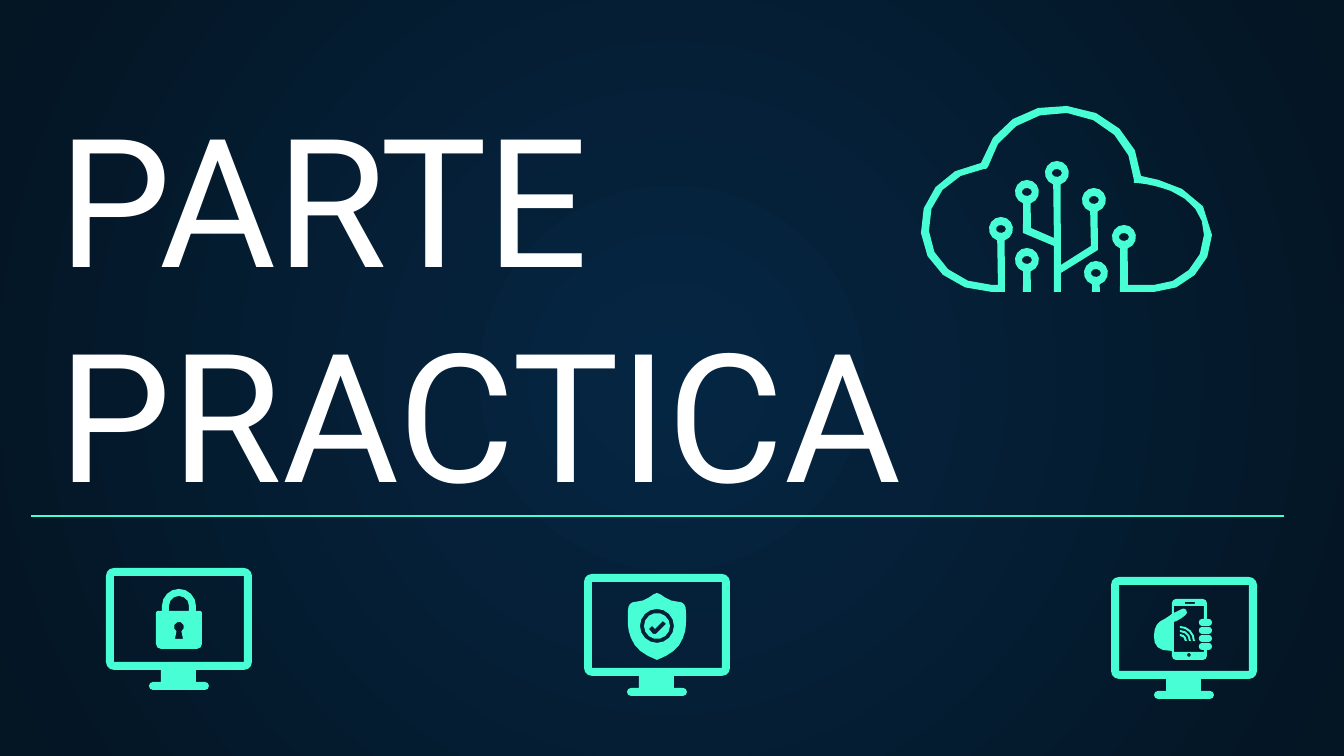
from math import cos, radians, sin, sqrt

from pptx import Presentation
from pptx.dml.color import RGBColor as Rgb
from pptx.enum.shapes import MSO_CONNECTOR as Conn
from pptx.enum.text import MSO_ANCHOR as Anchor
from pptx.oxml import parse_xml
from pptx.oxml.ns import nsdecls, qn
from pptx.util import Inches, Pt

WIDE, HIGH = 1344, 756
UNIT = Inches(10) / WIDE
MINT = Rgb(0x48, 0xFF, 0xD5)
WHITE = Rgb(0xFF, 0xFF, 0xFF)
NAVY = Rgb(0x05, 0x26, 0x43)
DARK = Rgb(0x04, 0x15, 0x23)
FONT = "Roboto"


def px(num):
    """Turn px into EMU."""
    return round(num * UNIT)


def arc(x, y, r, start=0, end=360, ry=None):
    """Return points along an arc, with angles clockwise from the right."""
    count = max(2, round(abs(end - start) * sqrt(r) / 90))
    turns = [radians(start + (end - start) * i / count) for i in range(count + 1)]
    return [(x + r * cos(t), y + (ry or r) * sin(t)) for t in turns]


def box(x, y, w, h, r):
    """Return the points of a rounded box."""
    left, top, right, low = x + r, y + r, x + w - r, y + h - r
    return (arc(left, top, r, 180, 270) + arc(right, top, r, 270, 360)
            + arc(right, low, r, 0, 90) + arc(left, low, r, 90, 180))


def curve(*pts):
    """Return points along a chain of cubic curves."""
    out = [pts[0]]
    for i in range(0, len(pts) - 1, 3):
        for step in range(1, 5):
            t = step / 4
            mix = ((1 - t) ** 3, 3 * t * (1 - t) ** 2, 3 * t * t * (1 - t), t ** 3)
            out.append(tuple(sum(m * p[k] for m, p in zip(mix, pts[i:i + 4]))
                             for k in (0, 1)))
    return out


def knob(x, y):
    """Return a node's rim, open below for its stem."""
    return arc(x, y, 12, 72, -252)


def eye(x, y):
    """Return the hole of a node."""
    return arc(x, y, 5, ry=4)


def draw(slide, *loops):
    """Fill closed loops as one shape, with inner loops as holes."""
    build = None
    for loop in loops:
        pts = [(px(x), px(y)) for x, y in loop]
        if build is None:
            build = slide.shapes.build_freeform(*pts[0], scale=1.0)
        else:
            build.move_to(*pts[0])
        build.add_line_segments(pts[1:], close=True)
    shape = build.convert_to_shape()
    shape.shadow.inherit = False
    shape.fill.solid()
    shape.fill.fore_color.rgb = MINT
    shape.line.fill.background()


def paint(slide):
    """Give the slide its radial background."""
    fill = slide.background.fill
    fill.gradient()
    for stop, tint in zip(fill.gradient_stops, (NAVY, DARK)):
        stop.color.rgb = tint
    lin = next(slide.element.iter(qn("a:lin")))
    lin.getparent().replace(lin, parse_xml(
        f'<a:path {nsdecls("a")} path="circle"><a:fillToRect l="50000" '
        't="50000" r="50000" b="50000"/></a:path>'))


def title(slide, text):
    """Add the large title."""
    frame = slide.shapes.add_textbox(px(46), px(102), px(1253), px(429)).text_frame
    frame.word_wrap = True
    frame.vertical_anchor = Anchor.BOTTOM
    frame.margin_left = frame.margin_right = px(13)
    frame.margin_top = frame.margin_bottom = px(13)
    run = frame.paragraphs[0].add_run()
    run.text = text
    run.font.size = Pt(96)
    run.font.name = FONT
    run.font.color.rgb = WHITE


def rule(slide, x, y, end):
    """Add the thin line below the title."""
    line = slide.shapes.add_connector(Conn.STRAIGHT, px(x), px(y), px(end), px(y))
    line.line.color.rgb = MINT
    line.line.width = Pt(0.75)
    line.element.spPr.append(parse_xml(f'<a:effectLst {nsdecls("a")}/>'))


def cloud(slide):
    """Draw the cloud and the circuit in it."""
    top, left, right = (1057, 173), (1027, 192), (1094, 200)
    draw(slide,
         knob(*right) + [(1091, 246), (1061, 265)]
         + knob(*top) + [(1054, 238), (1031, 228)]
         + knob(*left) + [(1023, 233), (1054, 246), (1054, 292), (1061, 292),
                          (1061, 273), (1098, 250)],
         eye(*top), eye(*left), eye(*right))
    west, east = (1001, 229), (1124, 237)
    rim = curve((1141, 176), (1140, 140), (1109, 109), (1067, 106),
                (1027, 102), (991, 126), (981, 163),
                (943, 168), (918, 199), (921, 233),
                (923, 266), (954, 292), (992, 292))
    hill = curve((992, 285), (958, 285), (930, 261), (929, 231),
                 (926, 200), (950, 173), (984, 169))
    dome = curve((988, 167), (995, 133), (1030, 110), (1067, 113),
                 (1105, 117), (1133, 145), (1134, 180))
    slope = curve((1137, 183), (1149, 184), (1160, 187), (1171, 191),
                  (1192, 200), (1204, 215), (1204, 235),
                  (1204, 262), (1180, 285), (1154, 285))
    edge = curve((1154, 292), (1185, 292), (1212, 266), (1212, 235),
                 (1212, 188), (1156, 179), (1141, 176))
    draw(slide,
         rim + [(1005, 292)] + knob(*west) + [(998, 285)] + hill + [(986, 169)]
         + dome + [(1134, 183)] + slope + [(1128, 285)] + knob(*east)
         + [(1120, 292)] + edge,
         eye(*west), eye(*east))
    for x, y in ((1027, 260), (1096, 273)):
        draw(slide, knob(x, y) + [(x - 4, 292), (x + 4, 292)], eye(x, y))


def screen(slide, x, y):
    """Draw a monitor on its stand."""
    case = (arc(x + 8, y + 8, 8, 180, 270) + arc(x + 138, y + 8, 8, 270, 360)
            + arc(x + 138, y + 94, 8, 0, 90)
            + [(x + 90, y + 102), (x + 90, y + 114)]
            + arc(x + 99, y + 118, 4, -90, 90) + arc(x + 47, y + 118, 4, 90, 270)
            + [(x + 55, y + 114), (x + 55, y + 102)]
            + arc(x + 8, y + 94, 8, 90, 180))
    hole = [(x + 8, y + 8), (x + 138, y + 8), (x + 138, y + 94), (x + 8, y + 94)]
    draw(slide, case, hole)


def lock(slide):
    """Draw the padlock."""
    body = (arc(179, 606, 17, 180, 360) + [(196, 611)]
            + arc(200, 613, 2, 270, 360) + arc(197, 644, 5, 0, 90)
            + arc(161, 644, 5, 90, 180) + arc(158, 613, 2, 180, 270)
            + [(162, 611)])
    draw(slide, body, arc(179, 606, 10, 180, 360) + [(189, 611), (169, 611)],
         arc(179, 627, 5, 120, 420) + [(183, 639), (175, 639)])


def shield(slide):
    """Draw the shield and its tick."""
    draw(slide, arc(657, 626, 13),
         [(663, 621), (666, 624), (656, 634), (653, 634), (649, 629),
          (652, 626), (655, 629)])
    half = curve((657, 593), (661, 593), (667, 602), (679, 602),
                 (683, 602), (686, 605), (686, 611),
                 (686, 620), (687, 629), (683, 638),
                 (679, 649), (670, 655), (657, 660))
    draw(slide, half + [(1314 - x, y) for x, y in reversed(half)],
         arc(657, 626, 17))


def phone(slide):
    """Draw the hand that holds a phone."""
    palm = curve((1172, 614), (1167, 618), (1161, 621), (1161, 621),
                 (1159, 622), (1154, 626), (1154, 636),
                 (1154, 646), (1158, 651), (1172, 651))
    thumb = curve((1174, 622), (1178, 621), (1187, 615), (1187, 613),
                  (1187, 609), (1184, 608), (1182, 609))
    grip = (arc(1176, 603, 4, 270, 180) + palm + arc(1176, 656, 4, 180, 90)
            + arc(1203, 656, 4, 90, 0)
            + [(1207, 650), (1204, 650), (1204, 652), (1174, 652)] + thumb
            + [(1174, 613), (1174, 606), (1204, 606), (1204, 619), (1207, 619)]
            + arc(1203, 603, 4, 0, -90))
    nails = [box(1199, 619 + 8 * i, 13, 7, 3) for i in range(4)]
    waves = [arc(1180, 641, r, -90, 0) + arc(1180, 641, r - 2, 0, -90)
             for r in (15, 11, 7)]
    slot = [(1185, 602), (1195, 602), (1195, 604), (1185, 604)]
    draw(slide, grip, slot, arc(1189, 655, 2), *nails, *waves)


def main():
    """Build and save the slide."""
    deck = Presentation()
    deck.slide_width, deck.slide_height = px(WIDE), px(HIGH)
    slide = deck.slides.add_slide(deck.slide_layouts[6])
    paint(slide)
    title(slide, "PARTE PRACTICA")
    rule(slide, 31, 516, 1284)
    cloud(slide)
    for x, y, icon in ((1111, 577, phone), (106, 568, lock), (584, 574, shield)):
        screen(slide, x, y)
        icon(slide)
    deck.save("out.pptx")


if __name__ == "__main__":
    main()
